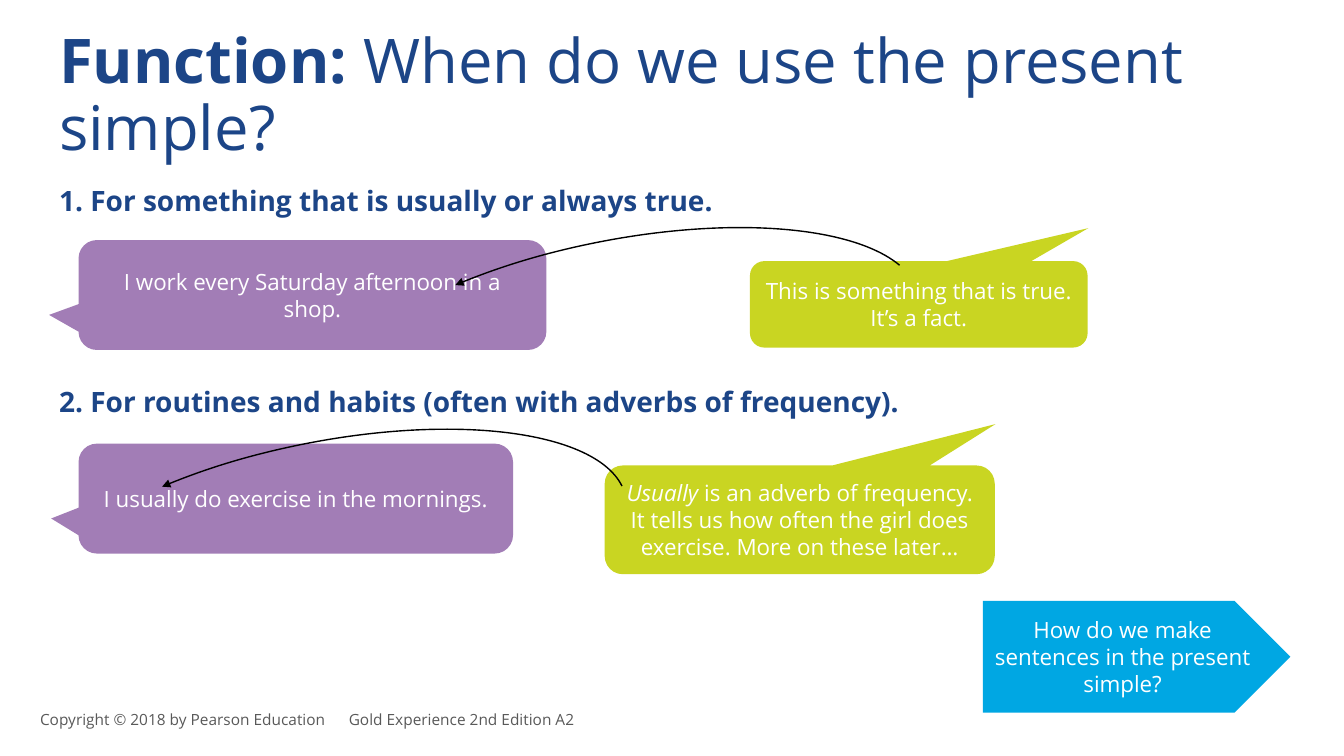
from dataclasses import dataclass

from lxml.etree import SubElement
from pptx import Presentation
from pptx.dml.color import RGBColor as Rgb
from pptx.enum.shapes import MSO_SHAPE as Shape
from pptx.enum.text import MSO_ANCHOR as Anchor, PP_ALIGN as Align
from pptx.oxml.ns import qn
from pptx.util import Cm, Pt


@dataclass(frozen=True)
class Theme:
    font: str = "Open Sans"
    navy: str = "1C4587"
    purple: str = "A27DB6"
    lime: str = "C9D522"
    blue: str = "00A7E3"
    white: str = "FFFFFF"
    black: str = "000000"
    grey: str = "595959"
    title: int = 44
    heading: int = 20
    body: int = 16
    small: int = 11


@dataclass(frozen=True)
class Use:
    box: tuple
    heading: str
    example: str
    example_box: tuple
    remark: tuple
    remark_box: tuple
    arc_offset: tuple
    arc_start: float


THEME = Theme()
ARC_SIZE = (5.79, 15.42)
ARC_END = 33.297
ARC_ROTATION = 258.7
SPEECH_TAIL = (-0.563, 0.181, 0.167)
REMARK_TAIL = (0.502, -0.881, 0.167)

USES = [
    Use(
        box=(1.24, 4.6, 18.57, 1.14),
        heading="1. For something that is usually or always true.",
        example="I work every Saturday afternoon in a shop.",
        example_box=(0.74, 1.45, 11.79, 2.77),
        remark=("", "This is something that is true. It’s a fact."),
        remark_box=(17.66, 1.98, 8.51, 2.18),
        arc_offset=(11.46, -3.36),
        arc_start=165.882,
    ),
    Use(
        box=(1.24, 9.65, 22.48, 1.14),
        heading="2. For routines and habits (often with adverbs of frequency).",
        example="I usually do exercise in the mornings.",
        example_box=(0.74, 1.53, 10.95, 2.77),
        remark=(
            "Usually",
            " is an adverb of frequency. It tells us how often the girl does "
            "exercise. More on these later…",
        ),
        remark_box=(14, 2.08, 9.83, 2.74),
        arc_offset=(4.07, -3.33),
        arc_start=163.27,
    ),
]


def lengths(box):
    return [Cm(value) for value in box]


def inside(box, offset):
    return (box[0] + offset[0], box[1] + offset[1], *offset[2:])


def style(run, size, colour, bold=False, italic=False):
    run.font.name = THEME.font
    run.font.size = Pt(size)
    run.font.color.rgb = Rgb.from_string(colour)
    run.font.bold = bold
    run.font.italic = italic


def add_words(slide, box, text, size, colour, bold=False):
    frame = slide.shapes.add_textbox(*lengths(box)).text_frame
    frame.word_wrap = True
    frame.text = text
    style(frame.paragraphs[0].runs[0], size, colour, bold)
    return frame


def add_panel(slide, kind, box, fill, text, lead="", adjustments=()):
    panel = slide.shapes.add_shape(kind, *lengths(box))
    panel.shadow.inherit = False
    panel.fill.solid()
    panel.fill.fore_color.rgb = Rgb.from_string(fill)
    panel.line.fill.background()
    for index, value in enumerate(adjustments):
        panel.adjustments[index] = value
    frame = panel.text_frame
    frame.word_wrap = True
    frame.vertical_anchor = Anchor.MIDDLE
    frame.text = lead or text
    paragraph = frame.paragraphs[0]
    paragraph.alignment = Align.CENTER
    style(paragraph.runs[0], THEME.body, THEME.white, italic=bool(lead))
    if lead:
        rest = paragraph.add_run()
        rest.text = text
        style(rest, THEME.body, THEME.white)


def add_curved_arrow(slide, box, start):
    arc = slide.shapes.add_shape(Shape.ARC, *lengths(box))
    arc.shadow.inherit = False
    arc.fill.background()
    arc.adjustments[0] = start
    arc.adjustments[1] = ARC_END
    arc.rotation = ARC_ROTATION
    properties = arc.element.spPr
    properties.find(qn("a:xfrm")).set("flipV", "1")
    arc.line.color.rgb = Rgb.from_string(THEME.black)
    arc.line.width = Pt(1)
    SubElement(properties.find(qn("a:ln")), qn("a:tailEnd"), type="triangle")


def add_title(slide, box):
    frame = add_words(slide, box, "Function: ", THEME.title, THEME.navy, bold=True)
    paragraph = frame.paragraphs[0]
    paragraph.line_spacing = 0.9
    question = paragraph.add_run()
    question.text = "When do we use the present simple?"
    style(question, THEME.title, THEME.navy)


def add_use(slide, use):
    heading = add_words(
        slide, use.box, use.heading, THEME.heading, THEME.navy, bold=True
    ).paragraphs[0]
    heading.line_spacing = 0.9
    heading.space_after = Pt(21)
    callout = Shape.ROUNDED_RECTANGULAR_CALLOUT
    add_panel(slide, callout, inside(use.box, use.example_box), THEME.purple,
              use.example, adjustments=SPEECH_TAIL)
    lead, remark = use.remark
    add_panel(slide, callout, inside(use.box, use.remark_box), THEME.lime,
              remark, lead, REMARK_TAIL)
    add_curved_arrow(slide, inside(use.box, use.arc_offset + ARC_SIZE), use.arc_start)


def add_footer(slide, box):
    frame = add_words(
        slide, box,
        "Copyright © 2018 by Pearson Education\tGold Experience 2nd Edition A2",
        THEME.small, THEME.grey,
    )
    frame.vertical_anchor = Anchor.MIDDLE
    frame.margin_top = frame.margin_bottom = Cm(0.25)
    stops = SubElement(frame.paragraphs[0]._p.get_or_add_pPr(), qn("a:tabLst"))
    SubElement(stops, qn("a:tab"), pos=str(Cm(7.78)), algn="l")


def main():
    deck = Presentation()
    deck.slide_width, deck.slide_height = Cm(33.87), Cm(19.05)
    slide = deck.slides.add_slide(deck.slide_layouts[6])
    add_title(slide, (1.24, 0.64, 29.31, 3.63))
    for use in USES:
        add_use(slide, use)
    add_panel(slide, Shape.PENTAGON, (24.77, 15.14, 7.75, 2.82), THEME.blue,
              "How do we make sentences in the present simple?")
    add_footer(slide, (0.76, 17.63, 17.58, 1.02))
    deck.save("out.pptx")


if __name__ == "__main__":
    main()
